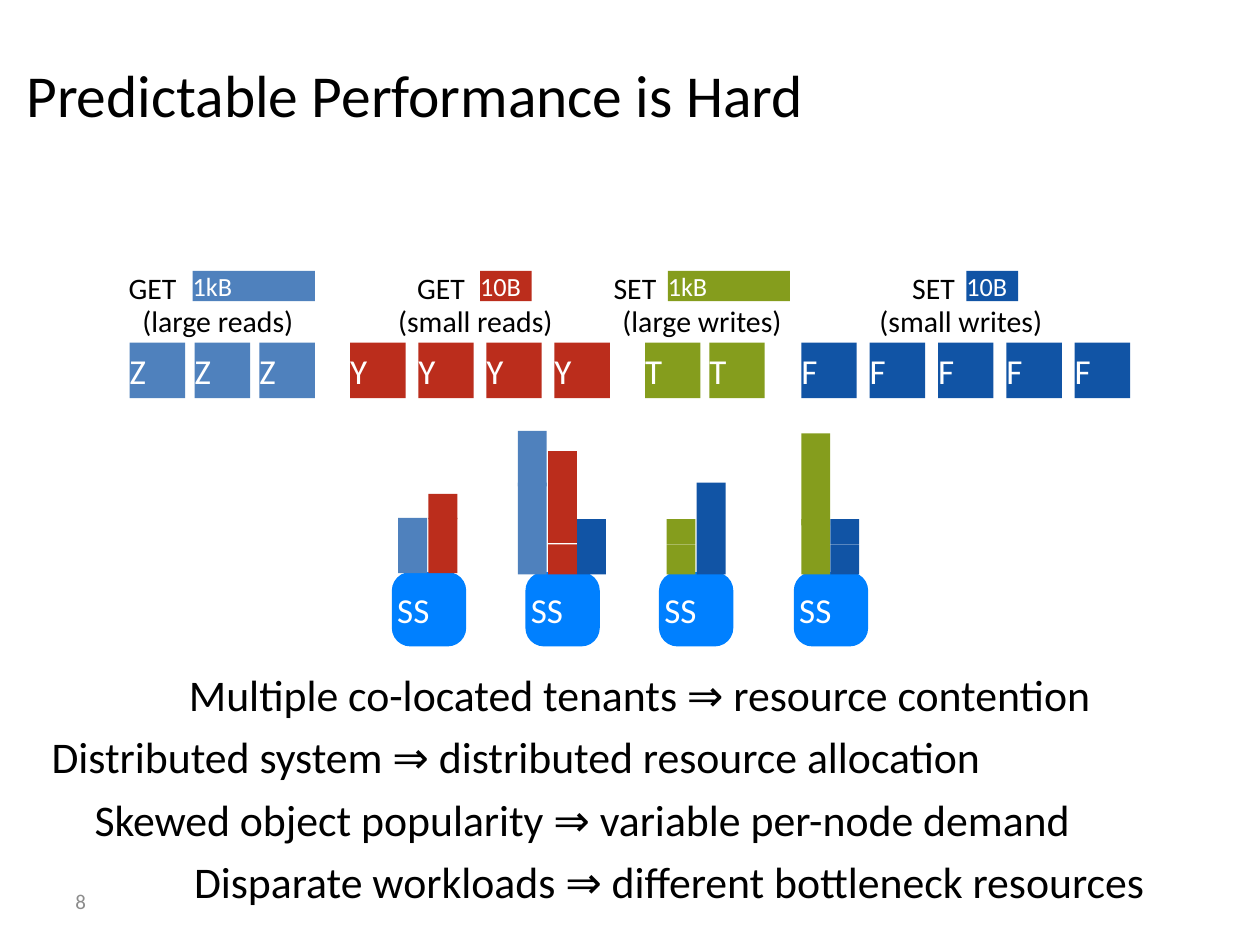
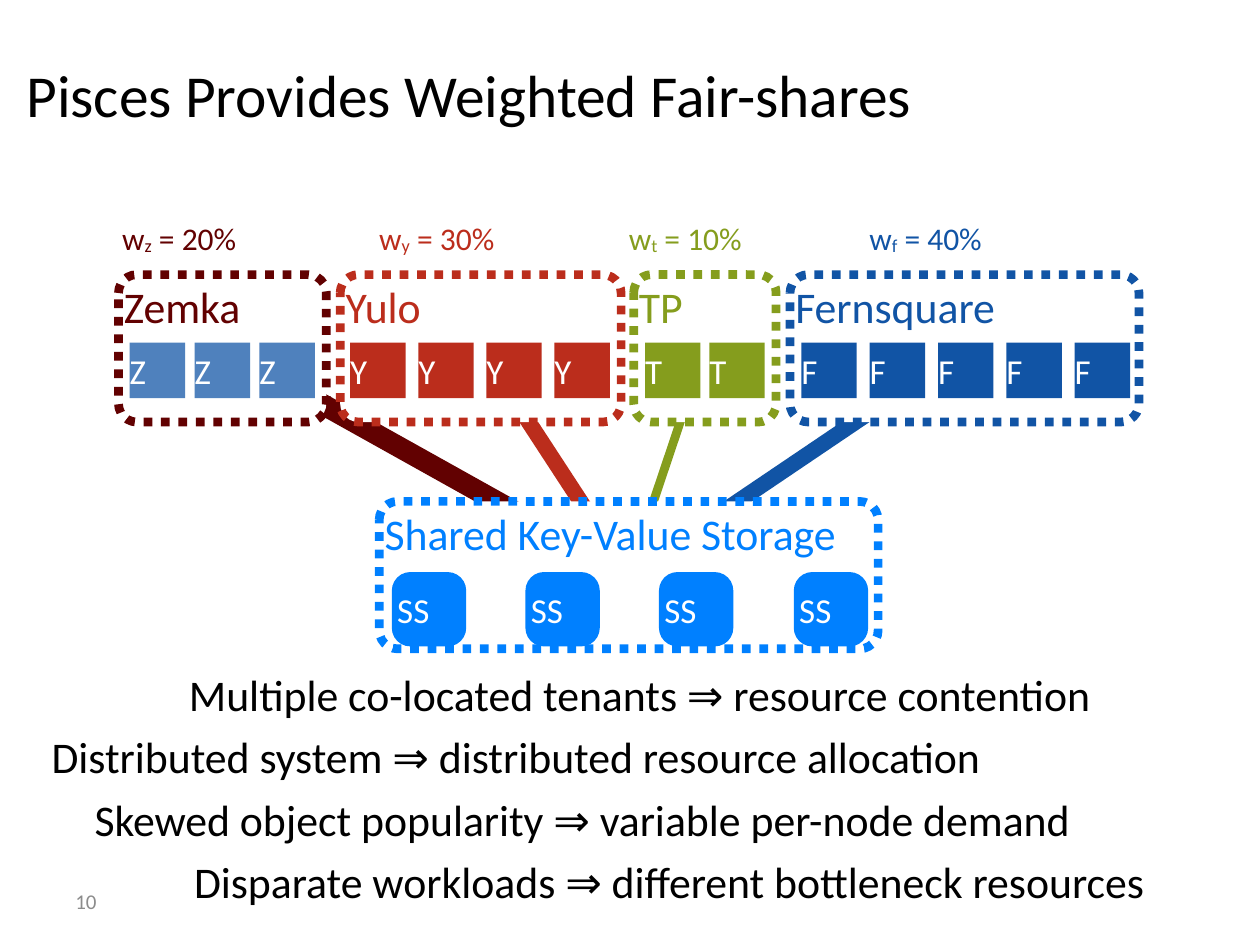
from lxml.etree import SubElement
from pptx import Presentation
from pptx.dml.color import RGBColor
from pptx.enum.dml import MSO_LINE
from pptx.enum.shapes import MSO_CONNECTOR, MSO_SHAPE as SHAPE
from pptx.enum.text import MSO_ANCHOR as ANCHOR, MSO_AUTO_SIZE as AUTO_SIZE, PP_ALIGN
from pptx.oxml.ns import qn
from pptx.util import Pt

PX = 9144  # EMU in one px, 100 px to the inch
FONT = "Calibri"
BLACK, WHITE, GREY = "000000", "FFFFFF", "8C8C8C"
SKY, RED, GREEN, NAVY = "4F81BD", "BB2D1C", "859D1D", "1154A5"
MAROON, STORAGE_BLUE = "620101", "0080FF"

FRAME = {"margin_left": 0, "margin_top": 0, "margin_right": 0, "margin_bottom": 0,
         "word_wrap": True, "auto_size": AUTO_SIZE.NONE, "vertical_anchor": ANCHOR.MIDDLE}
LABEL = {"word_wrap": False, "auto_size": AUTO_SIZE.SHAPE_TO_FIT_TEXT}


def write_text(shape, runs, size, color, frame=None):
    """Fill the shape with one left-aligned paragraph; frame overrides FRAME."""
    for name, value in {**FRAME, **(frame or {})}.items():
        setattr(shape.text_frame, name, value)
    paragraph = shape.text_frame.paragraphs[0]
    paragraph.alignment = PP_ALIGN.LEFT
    for text in runs:
        run = paragraph.add_run()
        run.text = text
        for name, value in {"name": FONT, "size": Pt(size)}.items():
            setattr(run.font, name, value)
        run.font.color.rgb = RGBColor.from_string(color)


def add_box(slide, at, kind=None, fill=None, outline=None, corner=None):
    """Add a text box, or a preset shape when a kind is given."""
    place = [round(length * PX) for length in at]
    if kind is None:
        return slide.shapes.add_textbox(*place)
    shape = slide.shapes.add_shape(kind, *place)
    shape.shadow.inherit = False
    shape.fill.solid()
    shape.fill.fore_color.rgb = RGBColor.from_string(fill)
    if corner:
        shape.adjustments[0] = corner
    if outline:
        shape.line.color.rgb = RGBColor.from_string(outline)
        shape.line.width = Pt(5)
        shape.line.dash_style = MSO_LINE.ROUND_DOT
    else:
        shape.line.fill.background()
    return shape


presentation = Presentation()
presentation.slide_width, presentation.slide_height = 1000 * PX, 750 * PX

# Titles and page numbers
slides = []
for title_text, page in [("Predictable Performance is Hard", "8"),
                         ("Pisces Provides Weighted Fair-shares", "10")]:
    slide = presentation.slides.add_slide(presentation.slide_layouts[5])
    title = slide.shapes.title
    for name, value in {"left": 21, "top": 26, "width": 957, "height": 97}.items():
        setattr(title, name, value * PX)
    write_text(title, [title_text], 34, BLACK)
    number = add_box(slide, (50, 695, 233, 40))
    write_text(number, [page], 12, GREY, {"margin_left": 10 * PX, "margin_right": 10 * PX})
    slides.append(slide)
demand_slide, shares_slide = slides

# Weighted tenants: name, colour, left, width, line width, weight, weight left and width
BOX_TOP, BOX_HEIGHT = 218, 117
STORAGE = (301, 398, 396, BOX_HEIGHT)
tenants = [
    ("Zemka", MAROON, 94, 165, 12, ("w", "z", " = 20%"), 97, 93),
    ("Yulo", RED, 270, 223, 9, ("w", "y", " = 30%"), 301, 94),
    ("TP", GREEN, 503, 113, 5, ("w", "t", " = 10%"), 499, 91),
    ("Fernsquare", NAVY, 627, 277, 9, ("w", "f", " = 40%"), 690, 91),
]

# Arrows run from centre to centre, behind the boxes
for _, color, left, width, weight, *_ in reversed(tenants):
    ends = (left + width / 2, BOX_TOP + BOX_HEIGHT / 2,
            STORAGE[0] + STORAGE[2] / 2, STORAGE[1] + STORAGE[3] / 2)
    arrow = shares_slide.shapes.add_connector(
        MSO_CONNECTOR.STRAIGHT, *[round(length * PX) for length in ends])
    arrow.line.color.rgb = RGBColor.from_string(color)
    arrow.line.width = Pt(weight)
    SubElement(arrow.line._get_or_add_ln(), qn("a:tailEnd"), type="arrow")
    SubElement(arrow._element.spPr, qn("a:effectLst"))

boxes = [(name, color, (left, BOX_TOP, width, BOX_HEIGHT))
         for name, color, left, width, *_ in tenants]
for name, color, at in boxes + [("Shared Key-Value Storage", STORAGE_BLUE, STORAGE)]:
    box = add_box(shares_slide, at, SHAPE.ROUNDED_RECTANGLE, WHITE, color, 0.125)
    write_text(box, [name], 25, color, {"vertical_anchor": ANCHOR.TOP})

for _, color, _, _, _, share, left, width in tenants:
    label = add_box(shares_slide, (left, 174, width, 30))
    write_text(label, share, 18, color, LABEL)
    subscript = label.text_frame.paragraphs[0].runs[1]
    subscript._r.get_or_add_rPr().set("baseline", "-6000")

# Tenant tiles, storage nodes and claims on both slides
tile_rows = [("Z", SKY, 103, 206, 3), ("Y", RED, 278, 440, 4),
             ("T", GREEN, 512, 563, 2), ("F", NAVY, 636, 853, 5)]
claims = [("Multiple co-located tenants ⇒ resource contention", 150, 527, 803),
          ("Distributed system ⇒ distributed resource allocation", 41, 576, 917),
          ("Skewed object popularity ⇒ variable per-node demand", 75, 626, 855),
          ("Disparate workloads ⇒ different bottleneck resources", 154, 675, 826)]
for slide in slides:
    for letter, color, first, last, count in tile_rows:
        for index in range(count):
            left = first + index * (last - first) / (count - 1)
            tile = add_box(slide, (left, 272, 44, 44), SHAPE.RECTANGLE, color)
            write_text(tile, [letter], 20, WHITE)
    for left in (311, 417, 523, 630):
        node = add_box(slide, (left, 454, 59, 59), SHAPE.ROUNDED_RECTANGLE,
                       STORAGE_BLUE, corner=0.25)
        # A rounded shape keeps its text inside the corners
        write_text(node, ["SS"], 20, WHITE)
    for claim, left, top, width in claims:
        write_text(add_box(slide, (left, top, width, 48)), [claim], 25, BLACK)

# Demand bars above the nodes: colour, left, (top, height) of each segment
bars = [
    (SKY, 316, [(431, 24), (411, 20)]), (RED, 340, [(411, 44), (392, 20)]),
    (SKY, 411, [(342, 44), (383, 73)]), (RED, 435, [(432, 24), (358, 73)]),
    (NAVY, 458, [(412, 44)]),
    (GREEN, 529, [(432, 24), (412, 20)]), (NAVY, 553, [(383, 73)]),
    (GREEN, 636, [(412, 44), (344, 73)]), (NAVY, 659, [(432, 24), (412, 20)]),
]
for color, left, segments in bars:
    for top, height in segments:
        add_box(demand_slide, (left, top, 23, height), SHAPE.RECTANGLE, color)

# Request types: verb, its left and width, size, colour, bar left and width, note, its left and width
requests = [
    ("GET", 102, 38, "1kB", SKY, 153, 97, "(large reads)", 113, 121),
    ("GET", 331, 38, "10B", RED, 381, 41, "(small reads)", 316, 124),
    ("SET", 487, 34, "1kB", GREEN, 530, 97, "(large writes)", 494, 127),
    ("SET", 724, 34, "10B", NAVY, 767, 41, "(small writes)", 698, 130),
]
for verb, verb_left, verb_width, size, color, left, width, note, note_left, note_width in requests:
    payload = add_box(demand_slide, (left, 215, width, 24), SHAPE.RECTANGLE, color)
    write_text(payload, [size], 15, WHITE)
    for text, at in [(verb, (verb_left, 214, verb_width, 29)),
                     (note, (note_left, 240, note_width, 29))]:
        write_text(add_box(demand_slide, at), [text], 17, BLACK, LABEL)

presentation.save("out.pptx")
